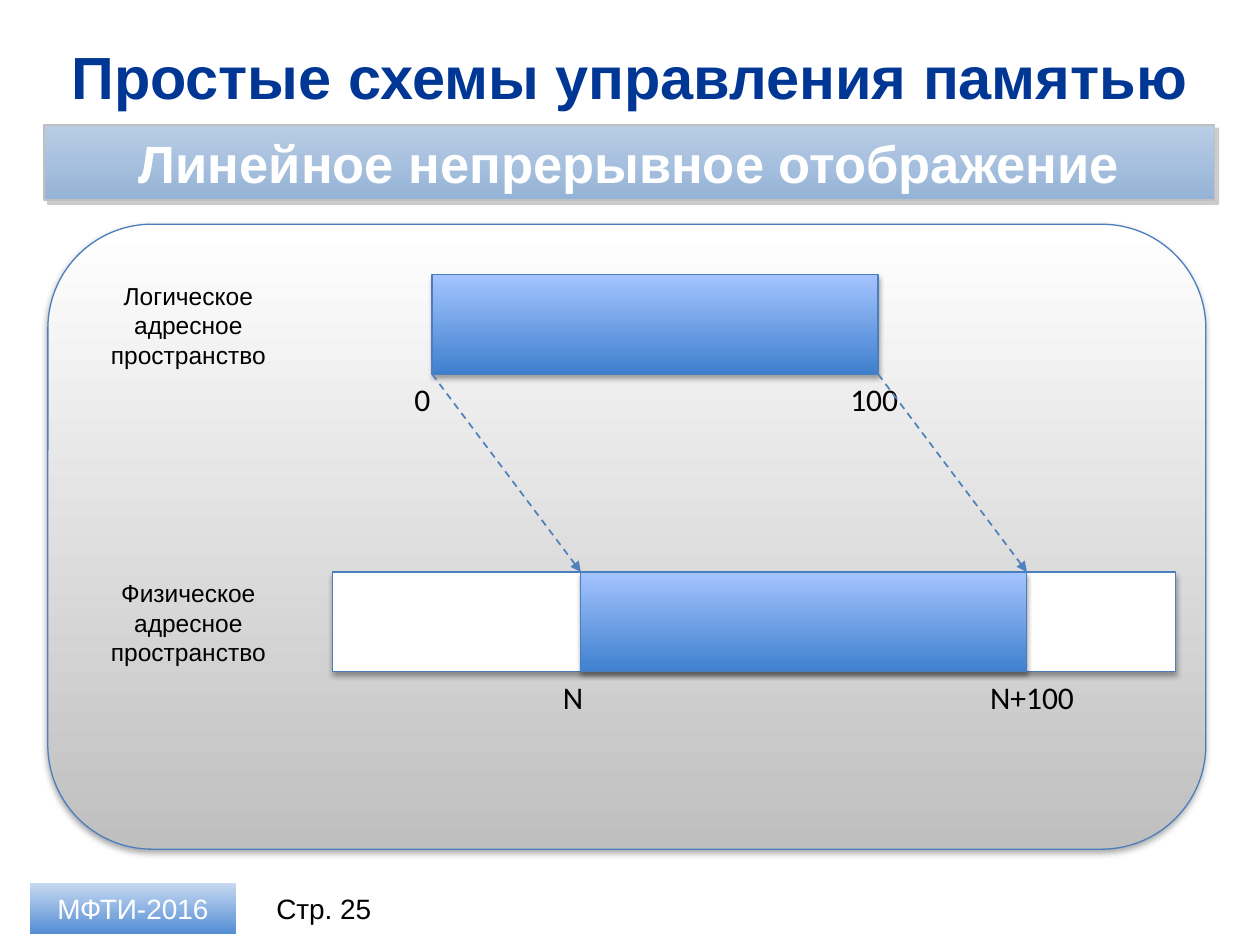
from dataclasses import dataclass

from lxml.etree import SubElement
from pptx import Presentation
from pptx.dml.color import RGBColor
from pptx.enum.dml import MSO_LINE
from pptx.enum.shapes import MSO_CONNECTOR, MSO_SHAPE
from pptx.enum.text import MSO_ANCHOR, PP_ALIGN
from pptx.oxml.ns import qn
from pptx.util import Inches, Pt


@dataclass(frozen=True)
class Theme:
    heading_font: str = "Arial"
    mark_font: str = "Calibri"
    title: str = "003794"
    text: str = "000000"
    white: str = "FFFFFF"
    outline: str = "4B7EBC"
    arrow: str = "4F81BD"
    banner_line: str = "C0C0C0"
    # Gradients run from top to bottom
    panel: tuple = ("FFFFFF", "BFBFBF")
    banner: tuple = ("B9CDE5", "95B3D7")
    memory: tuple = ("A4C4FF", "3F80CE")
    badge: tuple = ("C6D9F1", "558ED5")
    # Shadows: colour, opacity %, blur pt, distance pt, angle
    soft_shadow: tuple = ("000000", 35, 3.1, 1.8, 90)
    hard_shadow: tuple = ("808080", 40, 0, 3, 45)
    title_size: int = 34
    banner_size: int = 30
    mark_size: int = 18
    footer_size: int = 16
    label_size: int = 14


THEME = Theme()
BLOCK_W, BLOCK_H = 3.54, 0.79
LOGICAL_X, LOGICAL_Y = 3.43, 2.18
PHYSICAL_X, PHYSICAL_Y = 4.61, 4.54


def rgb(value):
    return RGBColor.from_string(value)


def add_shadow(sp, color, opacity, blur, distance, angle):
    effects = sp._element.spPr.find(qn("a:effectLst"))
    shadow = SubElement(effects, qn("a:outerShdw"), blurRad=str(Pt(blur)),
                        dist=str(Pt(distance)), dir=str(angle * 60000),
                        rotWithShape="0")
    clr = SubElement(shadow, qn("a:srgbClr"), val=color)
    SubElement(clr, qn("a:alpha"), val=str(opacity * 1000))


def add_block(slide, box, fill, line=None, width=0.75, shadow=None,
              kind=MSO_SHAPE.RECTANGLE):
    """Add a shape; fill is one colour or a (top, bottom) pair."""
    sp = slide.shapes.add_shape(kind, *map(Inches, box))
    sp.shadow.inherit = False
    if isinstance(fill, tuple):
        sp.fill.gradient()
        sp.fill.gradient_angle = 270
        for stop, color in zip(sp.fill.gradient_stops, fill):
            stop.color.rgb = rgb(color)
    else:
        sp.fill.solid()
        sp.fill.fore_color.rgb = rgb(fill)
    if line:
        sp.line.color.rgb = rgb(line)
        sp.line.width = Pt(width)
    else:
        sp.line.fill.background()
    if shadow:
        add_shadow(sp, *shadow)
    return sp


def write(sp, lines, size, color=THEME.text, font=THEME.heading_font,
          bold=False, align=PP_ALIGN.CENTER, anchor=MSO_ANCHOR.MIDDLE):
    """Fill a shape with one paragraph, broken into the given lines."""
    tf = sp.text_frame
    tf.word_wrap = True
    tf.vertical_anchor = anchor
    p = tf.paragraphs[0]
    p.alignment = align
    for i, line in enumerate(lines):
        if i:
            p.add_line_break()
        r = p.add_run()
        r.text = line
        r.font.name = font
        r.font.size = Pt(size)
        r.font.bold = bold
        r.font.color.rgb = rgb(color)


def add_text(slide, box, lines, size, **style):
    write(slide.shapes.add_textbox(*map(Inches, box)), lines, size, **style)


def add_space_label(slide, y, kind):
    add_text(slide, (0.75, y, 1.49, 0.81), (kind, "адресное", "пространство"),
             THEME.label_size, anchor=MSO_ANCHOR.TOP)


def add_address(slide, x, y, width, address):
    add_text(slide, (x, y, width, 0.4), (address,), THEME.mark_size,
             font=THEME.mark_font, align=PP_ALIGN.LEFT, anchor=MSO_ANCHOR.TOP)


def add_memory(slide, x, y, width=BLOCK_W, fill=THEME.memory):
    add_block(slide, (x, y, width, BLOCK_H), fill, THEME.outline,
              shadow=THEME.soft_shadow)


def add_mapping_arrow(slide, x1, y1, x2, y2):
    c = slide.shapes.add_connector(MSO_CONNECTOR.STRAIGHT,
                                   *map(Inches, (x1, y1, x2, y2)))
    c.line.color.rgb = rgb(THEME.arrow)
    c.line.width = Pt(1)
    c.line.dash_style = MSO_LINE.DASH
    SubElement(c.line._get_or_add_ln(), qn("a:tailEnd"), type="triangle")
    SubElement(c._element.spPr, qn("a:effectLst"))


def add_frame(slide):
    """Add the panel, title, banner and footer."""
    add_block(slide, (0.38, 1.78, 9.19, 4.96), THEME.panel, THEME.outline,
              shadow=THEME.soft_shadow, kind=MSO_SHAPE.ROUNDED_RECTANGLE)
    add_text(slide, (0.35, 0.26, 9.29, 0.68),
             ("Простые схемы управления памятью",), THEME.title_size,
             color=THEME.title, bold=True)
    banner = add_block(slide, (0.35, 0.99, 9.29, 0.6), THEME.banner,
                       THEME.banner_line, 1, THEME.hard_shadow)
    write(banner, ("Линейное непрерывное отображение",), THEME.banner_size,
          color=THEME.white, bold=True)
    badge = add_block(slide, (0.24, 7.01, 1.63, 0.4), THEME.badge)
    write(badge, ("МФТИ-2016",), THEME.footer_size, color=THEME.white)
    add_text(slide, (2.03, 7.01, 1.08, 0.4), ("Стр. 25",), THEME.footer_size)


def add_diagram(slide):
    logical_bottom = LOGICAL_Y + BLOCK_H
    physical_bottom = PHYSICAL_Y + BLOCK_H

    add_space_label(slide, LOGICAL_Y, "Логическое")
    add_memory(slide, LOGICAL_X, LOGICAL_Y)
    add_address(slide, 3.19, logical_bottom, 0.47, "0")
    add_address(slide, 6.65, logical_bottom, 0.62, "100")

    add_space_label(slide, PHYSICAL_Y, "Физическое")
    add_memory(slide, 2.64, PHYSICAL_Y, 6.69, THEME.white)
    add_memory(slide, PHYSICAL_X, PHYSICAL_Y)
    add_address(slide, 4.37, physical_bottom, 0.47, "N")
    add_address(slide, 7.76, physical_bottom, 1, "N+100")

    for offset in (0, BLOCK_W):
        add_mapping_arrow(slide, LOGICAL_X + offset, logical_bottom,
                          PHYSICAL_X + offset, PHYSICAL_Y)


def main():
    prs = Presentation()
    prs.slide_width, prs.slide_height = Inches(10), Inches(7.5)
    slide = prs.slides.add_slide(prs.slide_layouts[6])
    add_frame(slide)
    add_diagram(slide)
    prs.save("out.pptx")


if __name__ == "__main__":
    main()
